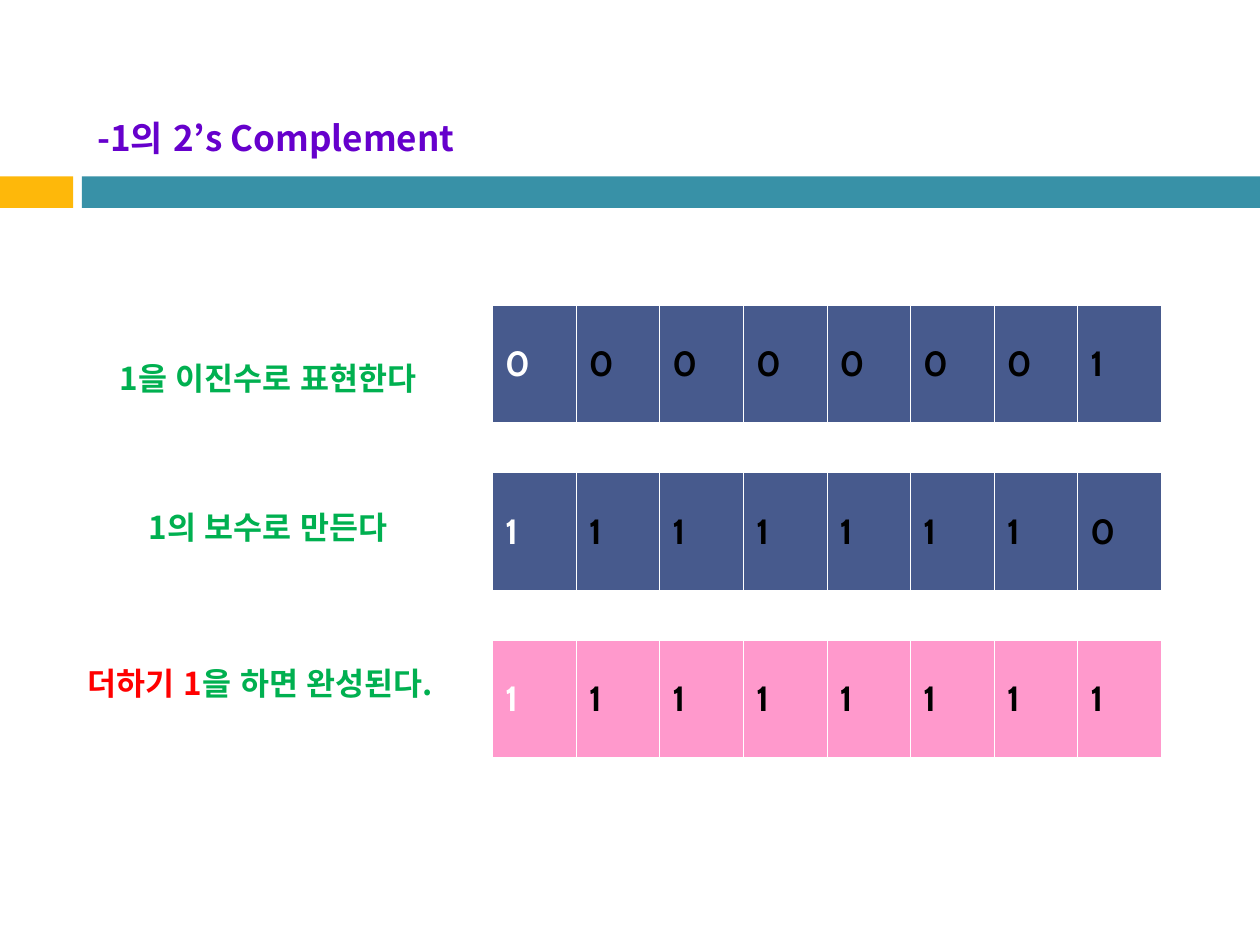
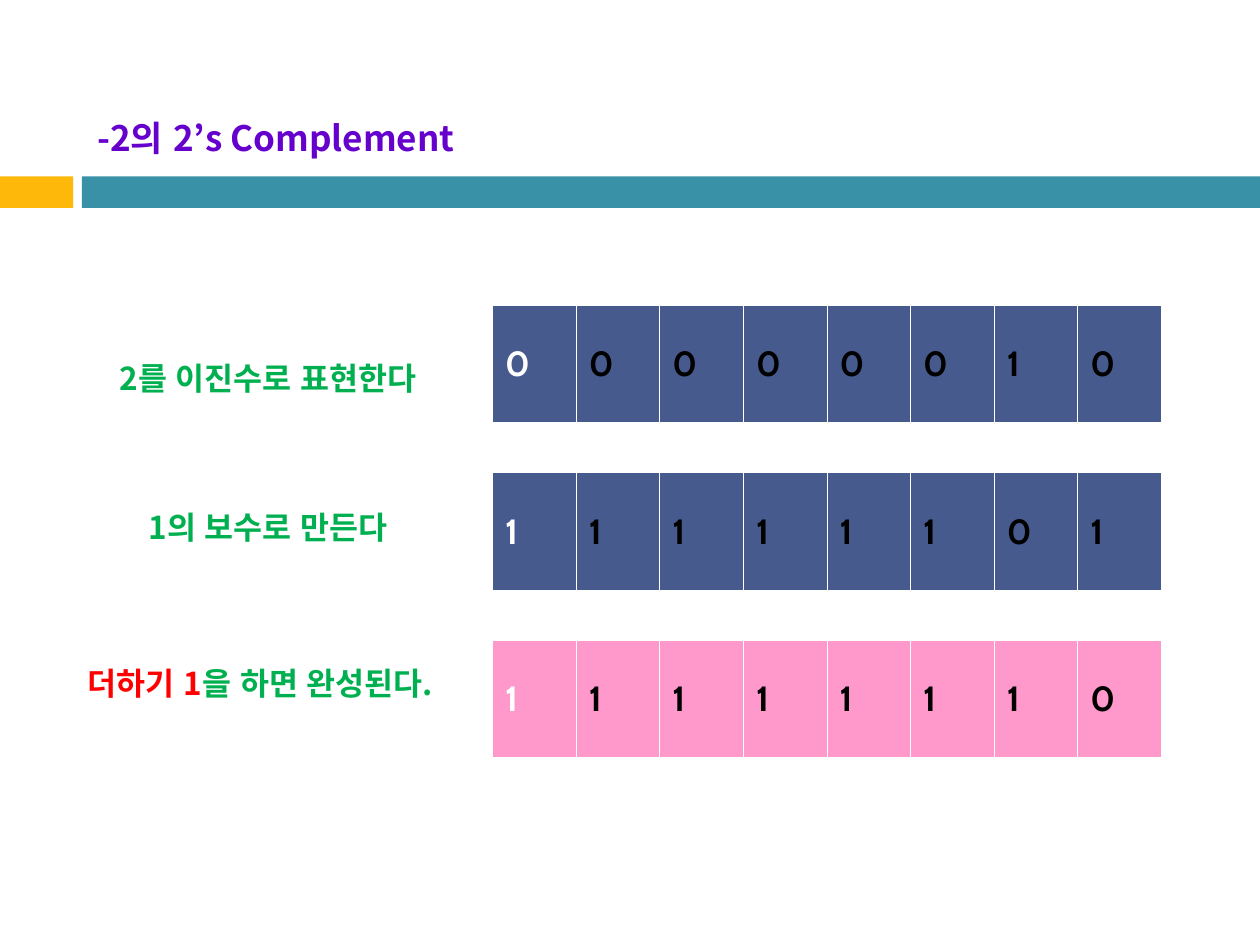
from lxml import etree
from pptx import Presentation
from pptx import util as u
from pptx.dml.color import RGBColor
from pptx.enum import lang, shapes, text
from pptx.oxml import ns

AMBER = RGBColor(0xFE, 0xB8, 0x0A)
TEAL = RGBColor(0x38, 0x91, 0xA7)
NAVY = RGBColor(0x47, 0x5A, 0x8D)
PINK = RGBColor(0xFF, 0x99, 0xCC)
PURPLE = RGBColor(0x66, 0x00, 0xCC)
GREEN = RGBColor(0x00, 0xB0, 0x50)
RED = RGBColor(0xFF, 0x00, 0x00)
WHITE = RGBColor(0xFF, 0xFF, 0xFF)
BLACK = RGBColor(0x00, 0x00, 0x00)
HANGUL, LATIN = "Noto Sans CJK KR", "Cabin"

BITS_BOX = (3.91, 2.42, 5.31, 0.94)
ROW_PITCH = 1.33
STEP_BOXES = [(0.85, 2.8, 2.61, 0.4), (1.08, 3.98, 2.15, 0.4), (0.6, 5.22, 3.1, 0.4)]
FINAL_STEP = [("더하기 1", RED), ("을 하면 완성된다.", GREEN)]
EXAMPLES = [
    ("-1의 2’s Complement", "1을 이진수로 표현한다", ["00000001", "11111110", "11111111"]),
    ("-2의 2’s Complement", "2를 이진수로 표현한다", ["00000010", "11111101", "11111110"]),
]


def inches(box):
    """Convert a left, top, width, height box to lengths."""
    return [u.Inches(v) for v in box]


def add_run(p, txt, *, size=18, color=GREEN, font=HANGUL):
    """Append a bold run with the given format."""
    r = p.add_run()
    r.text = txt
    f = r.font
    f.size, f.bold, f.name = u.Pt(size), True, font
    f.color.rgb = color
    f.language_id = lang.MSO_LANGUAGE_ID.KOREAN
    etree.SubElement(r._r.rPr, ns.qn("a:ea"), typeface=font)


def add_label(s, box, runs, *, size=18, align=None, anchor=text.MSO_ANCHOR.TOP):
    """Place a wrapped text box holding (text, colour) runs."""
    tf = s.shapes.add_textbox(*inches(box)).text_frame
    tf.word_wrap = True
    tf.vertical_anchor = anchor
    p = tf.paragraphs[0]
    p.alignment = align
    for txt, color in runs:
        add_run(p, txt, size=size, color=color)


def add_header(s, title):
    """Draw the title and the two-part band below it."""
    for left, width, color in [(0, 0.58, AMBER), (0.65, 9.35, TEAL)]:
        sp = s.shapes.add_shape(shapes.MSO_SHAPE.RECTANGLE, *inches((left, 1.4, width, 0.25)))
        sp.shadow.inherit = False
        sp.fill.solid()
        sp.fill.fore_color.rgb = color
        sp.line.fill.background()
    add_label(s, (0.5, 0.81, 3.38, 0.56), [(title, PURPLE)], size=20,
              align=text.PP_ALIGN.CENTER, anchor=text.MSO_ANCHOR.MIDDLE)


def set_borders(cell):
    """Give a cell thin white borders with a heavier bottom edge."""
    tc_pr = cell._tc.get_or_add_tcPr()
    for i, (side, width) in enumerate([("L", 0.45), ("R", 0.45), ("T", 0.45), ("B", 1.47)]):
        ln = etree.Element(ns.qn(f"a:ln{side}"), w=str(u.Pt(width)))
        fill = etree.SubElement(ln, ns.qn("a:solidFill"))
        etree.SubElement(fill, ns.qn("a:srgbClr"), val=str(WHITE))
        tc_pr.insert(i, ln)


def add_bits(s, box, bits, color):
    """Draw a one-row table of bits with the sign bit in white."""
    table = s.shapes.add_table(1, len(bits), *inches(box)).table
    table.first_row = table.horz_banding = False
    for i, bit in enumerate(bits):
        table.columns[i].width = u.Inches(box[2] / len(bits))
        cell = table.cell(0, i)
        cell.fill.solid()
        cell.fill.fore_color.rgb = color
        cell.vertical_anchor = text.MSO_ANCHOR.MIDDLE
        set_borders(cell)
        add_run(cell.text_frame.paragraphs[0], bit, size=20, font=LATIN,
                color=BLACK if i else WHITE)


def add_complement_slide(prs, title, first_step, rows):
    """Build a slide that derives a two's complement in three steps."""
    s = prs.slides.add_slide(prs.slide_layouts[6])
    add_header(s, title)
    left, top, width, height = BITS_BOX
    for i, (bits, color) in enumerate(zip(rows, (NAVY, NAVY, PINK))):
        add_bits(s, (left, top + i * ROW_PITCH, width, height), bits, color)
    steps = [[(first_step, GREEN)], [("1의 보수로 만든다", GREEN)], FINAL_STEP]
    for box, runs in zip(STEP_BOXES, steps):
        add_label(s, box, runs)


def main():
    """Build and save the presentation."""
    prs = Presentation()
    prs.slide_width, prs.slide_height = u.Inches(10), u.Inches(7.5)
    for example in EXAMPLES:
        add_complement_slide(prs, *example)
    prs.save("out.pptx")


if __name__ == "__main__":
    main()
